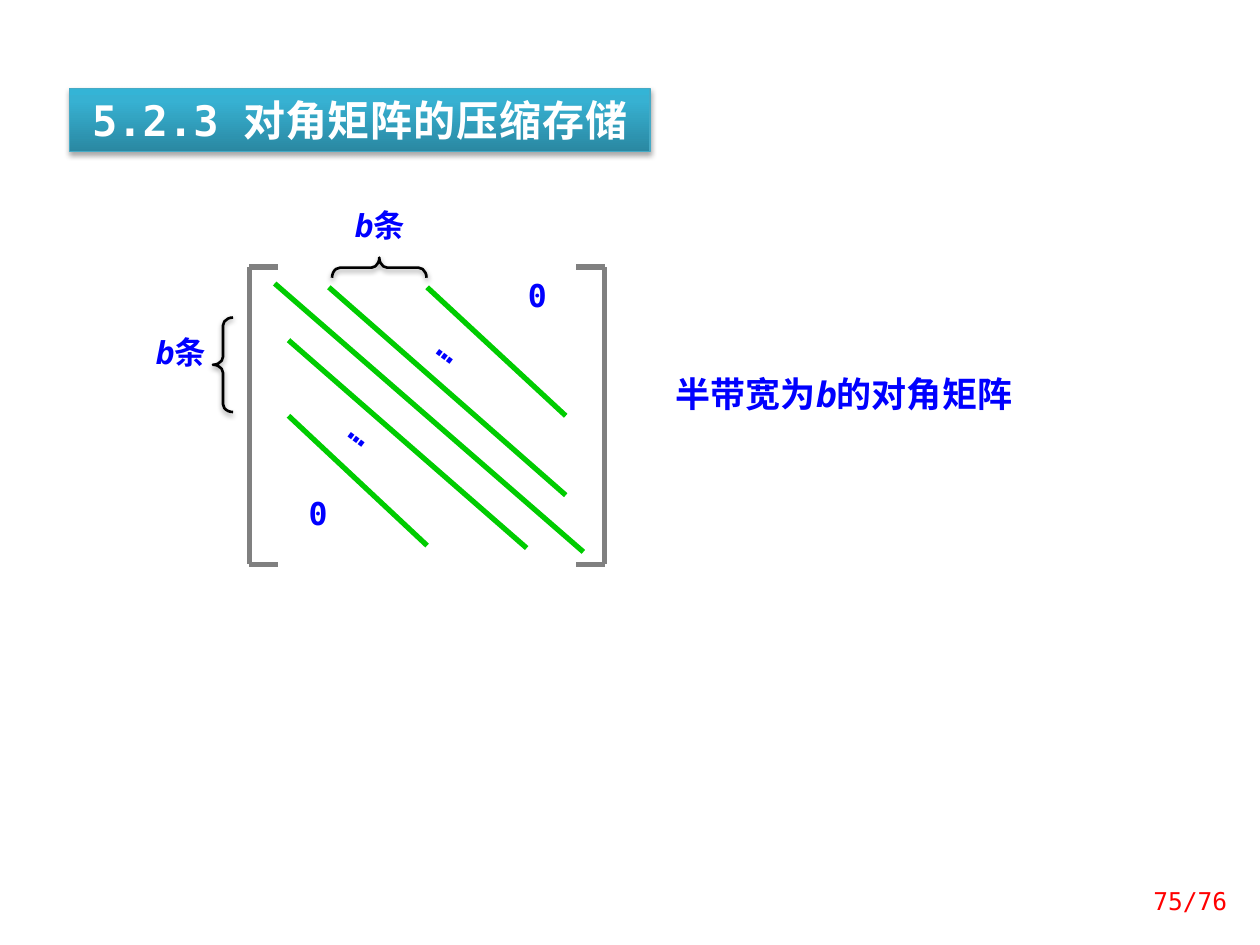
from lxml import etree
from pptx import Presentation
from pptx.dml.color import RGBColor
from pptx.enum.shapes import MSO_CONNECTOR, MSO_SHAPE
from pptx.enum.text import MSO_ANCHOR, MSO_AUTO_SIZE, PP_ALIGN
from pptx.oxml import parse_xml
from pptx.oxml.ns import nsdecls, qn
from pptx.util import Inches, Pt

FONT = "DejaVu Sans Mono"
BLUE, GREEN, GREY = "0000FF", "00CC00", "808080"


def color(value):
    return RGBColor.from_string(value)


def add_shadow(shape, opacity, blur, distance):
    """Give the shape a soft black shadow straight below it."""
    shape.shadow.inherit = False
    effects = shape._element.spPr.find(qn("a:effectLst"))
    effects.append(parse_xml(
        f'<a:outerShdw {nsdecls("a")} blurRad="{Pt(blur)}" dist="{Pt(distance)}" '
        f'dir="5400000" rotWithShape="0"><a:srgbClr val="000000">'
        f'<a:alpha val="{opacity * 1000}"/></a:srgbClr></a:outerShdw>'))


def write(frame, parts, size, tint, align, bold=True):
    """Fill the frame with one paragraph; a part named b is set in italics."""
    para = frame.paragraphs[0]
    para.alignment = align
    para.space_before = Pt(0)
    for part in parts:
        span = para.add_run()
        span.text = part
        span.font.name, span.font.size = FONT, Pt(size)
        span.font.bold, span.font.italic = bold, part == "b"
        span.font.color.rgb = color(tint)
    return para


def add_text(shapes, left, top, width, height, parts, size, tint=BLUE,
             align=PP_ALIGN.LEFT, bold=True):
    box = shapes.add_textbox(*map(Inches, (left, top, width, height)))
    box.text_frame.word_wrap = True
    write(box.text_frame, parts, size, tint, align, bold)
    return box


def add_line(shapes, x1, y1, x2, y2, tint):
    line = shapes.add_connector(MSO_CONNECTOR.STRAIGHT, *map(Inches, (x1, y1, x2, y2)))
    line.line.color.rgb = color(tint)
    line.line.width = Pt(3)
    etree.SubElement(line._element.spPr, qn("a:effectLst"))


def add_brace(shapes, left, top, rotation=0):
    brace = shapes.add_shape(MSO_SHAPE.LEFT_BRACE, Inches(left), Inches(top),
                             Inches(0.16), Inches(0.75))
    brace.adjustments[0] = 0.395
    brace.rotation = rotation
    brace.fill.background()
    brace.line.color.rgb = color("000000")
    brace.line.width = Pt(1.5)
    add_shadow(brace, 38, 3.1, 1.6)


def place_title(page, left, top, width, height):
    title = page.shapes.title
    title.left, title.top, title.width, title.height = map(
        Inches, (left, top, width, height))
    title.fill.gradient()
    gradient = title._element.spPr.find(qn("a:gradFill"))
    stops = gradient.find(qn("a:gsLst"))
    for stop in list(stops):
        stops.remove(stop)
    for position, tint in ((0, "2A88A2"), (80, "37B1D2"), (100, "34B4D6")):
        stop = etree.SubElement(stops, qn("a:gs"), pos=str(position * 1000))
        etree.SubElement(stop, qn("a:srgbClr"), val=tint)
    gradient.find(qn("a:lin")).set("ang", str(270 * 60000))
    title.line.color.rgb = color("46AAC5")
    title.line.width = Pt(0.75)
    add_shadow(title, 35, 3.1, 1.8)
    frame = title.text_frame
    frame.word_wrap = True
    frame.auto_size = MSO_AUTO_SIZE.NONE
    frame.vertical_anchor = MSO_ANCHOR.MIDDLE
    para = write(frame, ["5.2.3 对角", "矩阵的压缩存储"], 24, "FFFFFF", PP_ALIGN.CENTER)
    para.runs[1].font._element.set("spc", "50")


def place_matrix(page, left, top, width, height):
    shapes = page.shapes.add_group_shape().shapes
    right, bottom = left + width, top + height

    # Square brackets
    for side, tip in ((left, left + 0.23), (right, right - 0.23)):
        add_line(shapes, side, top, side, bottom, GREY)
        for level in (top, bottom):
            add_line(shapes, side, level, tip, level, GREY)

    # Diagonals: main, two above it, two below it
    for x1, y1, x2, y2 in ((0.2, 0.13, 2.65, 2.26), (0.63, 0.16, 2.51, 1.81),
                           (1.41, 0.16, 2.51, 1.18), (0.31, 0.58, 2.2, 2.23),
                           (0.31, 1.18, 1.41, 2.21)):
        add_line(shapes, left + x1, top + y1, left + x2, top + y2, GREEN)

    # Band braces
    add_brace(shapes, left - 0.29, top + 0.4)
    add_brace(shapes, left + 0.95, top - 0.37, 90)

    # Band labels, zero corners and dots along the diagonals
    for x, y, parts, rotation in ((-0.94, 0.53, ["b", "条"], 0),
                                  (0.64, -0.48, ["b", "条"], 0),
                                  (0.15, 1.81, ["0"], 0),
                                  (1.89, 0.08, ["0"], 0),
                                  (0.48, 1.16, ["…"], 36.9),
                                  (1.18, 0.5, ["…"], 36.9)):
        label = add_text(shapes, left + x, top + y, 0.79, 0.34, parts, 18,
                         align=PP_ALIGN.CENTER)
        label.text_frame.paragraphs[0].line_spacing = 0.8
        label.rotation = rotation


def place_page_number(page, left, top, width, height):
    number = add_text(page.shapes, left, top, width, height, ["75/76"], 14, "FF0000",
                      PP_ALIGN.RIGHT, bold=False)
    number.text_frame.vertical_anchor = MSO_ANCHOR.MIDDLE


def main():
    deck = Presentation()
    deck.slide_width, deck.slide_height = Inches(10), Inches(7.5)
    page = deck.slides.add_slide(deck.slide_layouts[5])
    place_title(page, 0.55, 0.7, 4.61, 0.5)
    add_text(page.shapes, 5.2, 2.91, 3.7, 0.44, [" 半带宽为", "b", "的对角矩阵"], 20)
    place_matrix(page, 1.98, 2.12, 2.82, 2.36)
    place_page_number(page, 8.78, 6.95, 1.06, 0.4)
    deck.save("out.pptx")


if __name__ == "__main__":
    main()
